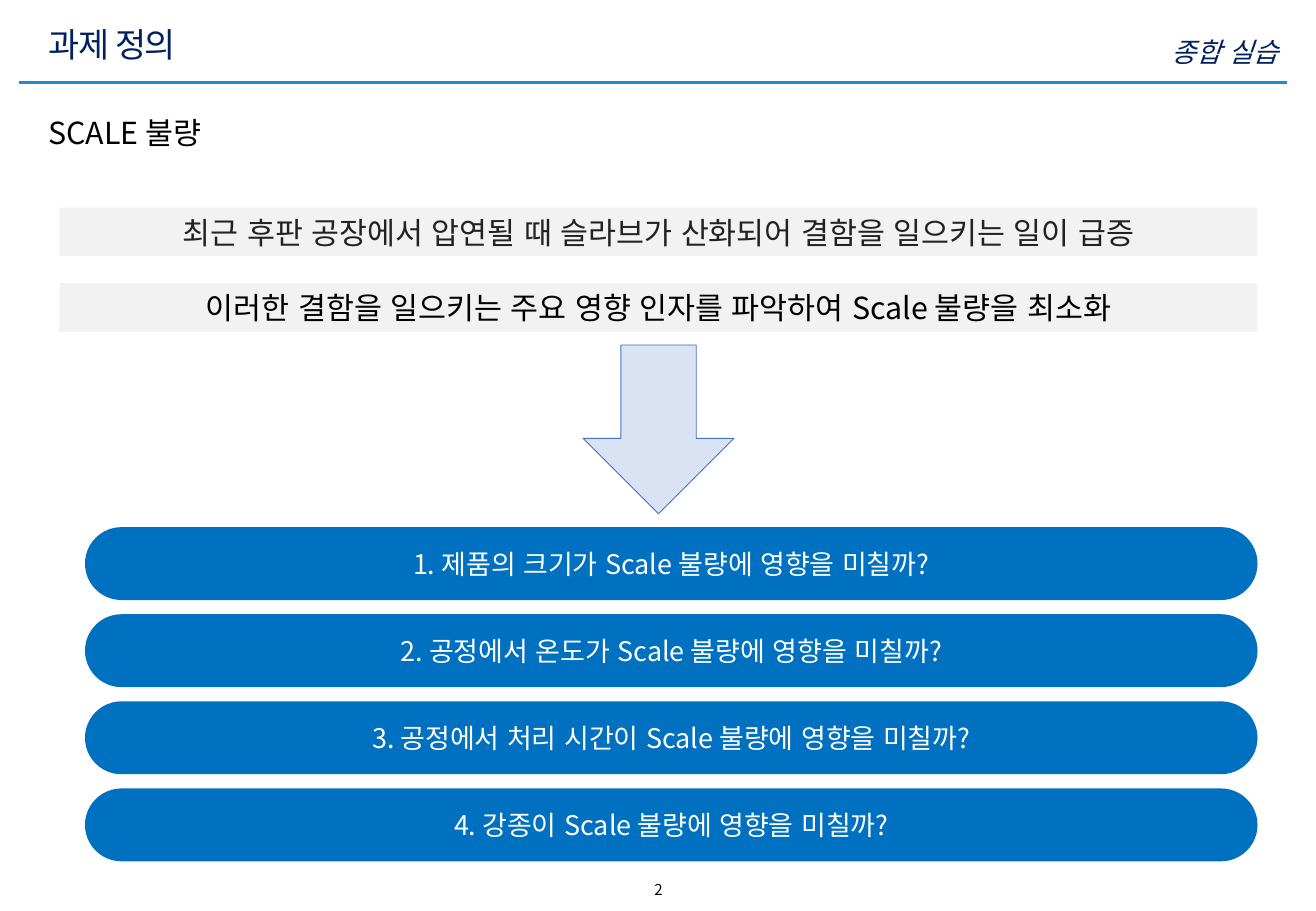
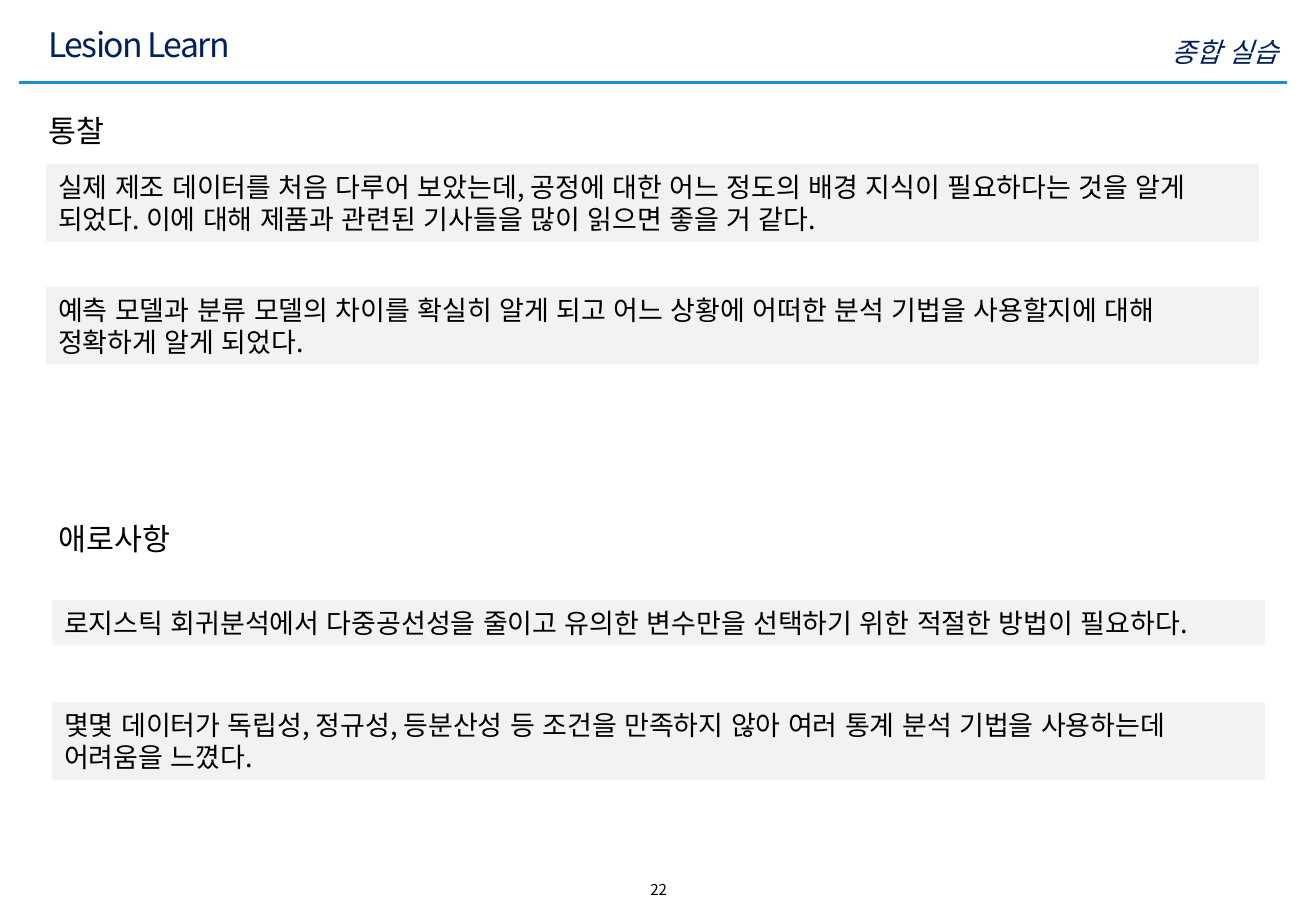
import pptx
import pptx.dml.color
import pptx.enum.shapes
import pptx.enum.text
import pptx.oxml.ns
import pptx.util
import lxml.etree

SHAPE = pptx.enum.shapes.MSO_SHAPE
ANCHOR = pptx.enum.text.MSO_ANCHOR
ALIGN = pptx.enum.text.PP_ALIGN
WIDTH, HEIGHT = pptx.util.Inches(10.83), pptx.util.Inches(7.5)
FONT = "Noto Sans CJK KR"
COLORS = {
    "navy": "002060", "rule": "188DD0", "black": "000000", "ink": "222222",
    "band": "F2F2F2", "pill": "0070C0", "white": "FFFFFF",
    "arrow": "DAE3F3", "arrow_edge": "4472C4",
}
STYLES = {
    "title": dict(size=20, color="navy", anchor=ANCHOR.MIDDLE, spacing=-100),
    "label": dict(size=16, color="navy", align=ALIGN.RIGHT, italic=True),
    "page": dict(size=8.9, align=ALIGN.CENTER),
    "heading": dict(size=18),
    "banner": dict(size=18, align=ALIGN.CENTER, anchor=ANCHOR.MIDDLE),
    "pill": dict(size=16, color="white", align=ALIGN.CENTER, anchor=ANCHOR.MIDDLE, wrap=False),
    "note": dict(size=16, anchor=ANCHOR.MIDDLE),
}


def rgb(name):
    return pptx.dml.color.RGBColor.from_string(COLORS[name])


def across(share):
    return pptx.util.Emu(round(WIDTH * share / 100))


def down(share):
    return pptx.util.Emu(round(HEIGHT * share / 100))


def area(left, top, width, height):
    return across(left), down(top), across(width), down(height)


def set_all(target, values):
    for name, value in values.items():
        setattr(target, name, value)


def write(sp, text, style, **changes):
    look = {**STYLES[style], **changes}
    tf = sp.text_frame
    set_all(tf, {
        "word_wrap": look.get("wrap", True),
        "auto_size": pptx.enum.text.MSO_AUTO_SIZE.NONE,
        "vertical_anchor": look.get("anchor", ANCHOR.TOP),
    })
    for i, line in enumerate(text.split("\n")):
        p = tf.add_paragraph() if i else tf.paragraphs[0]
        p.alignment = look.get("align", ALIGN.LEFT)
        r = p.add_run()
        r.text = line
        set_all(r.font, {
            "size": pptx.util.Pt(look["size"]),
            "name": FONT,
            "italic": look.get("italic", False),
        })
        r.font.color.rgb = rgb(look.get("color", "black"))
        props = r.font._element
        props.set("lang", "ko-KR")
        props.set("spc", str(look.get("spacing", 0)))
        east = lxml.etree.SubElement(props, pptx.oxml.ns.qn("a:ea"))
        east.set("typeface", FONT)


def add_text(s, box, text, style):
    write(s.shapes.add_textbox(*area(*box)), text, style)


def add_block(s, kind, box, fill, edge=None):
    sp = s.shapes.add_shape(kind, *area(*box))
    sp.shadow.inherit = False
    sp.fill.solid()
    sp.fill.fore_color.rgb = rgb(fill)
    if edge:
        sp.line.color.rgb = rgb(edge)
        sp.line.width = pptx.util.Pt(0.5)
    else:
        sp.line.fill.background()
    return sp


def add_rule(s):
    y = down(9.07)
    rule = s.shapes.add_connector(
        pptx.enum.shapes.MSO_CONNECTOR.STRAIGHT, across(1.48), y, across(97.78), y)
    rule.line.color.rgb = rgb("rule")
    rule.line.width = pptx.util.Pt(2)
    lxml.etree.SubElement(rule._element.spPr, pptx.oxml.ns.qn("a:effectLst"))


def add_page(prs, title, number):
    s = prs.slides.add_slide(prs.slide_layouts.get_by_name("Title Only"))
    add_rule(s)
    add_text(s, (40.54, 96, 19.02, 3.33), number, "page")
    add_text(s, (60.48, 3.2, 37.58, 4), "종합 실습", "label")
    sp = s.shapes.title
    set_all(sp, dict(zip(("left", "top", "width", "height"), area(2.77, 1.87, 78.58, 5.87))))
    write(sp, title, "title")
    return s


def add_heading(s, left, top, text):
    add_text(s, (left, top, 43.03, 5.33), text, "heading")


def add_banner(s, row, text, color):
    sp = add_block(s, SHAPE.RECTANGLE, (4.52, 22.8 + 8.27 * row, 91.04, 5.33), "band")
    write(sp, text, "banner", color=color)


def add_pill(s, row, text):
    sp = add_block(s, SHAPE.ROUNDED_RECTANGLE, (6.46, 57.87 + 9.56 * row, 89.1, 8), "pill")
    sp.adjustments[0] = 0.5
    write(sp, text, "pill")


def add_note(s, left, top, height, text):
    write(add_block(s, SHAPE.RECTANGLE, (left, top, 92.15, height), "band"), text, "note")


def build_definition(prs):
    s = add_page(prs, "과제 정의", "2")
    add_heading(s, 2.77, 11.87, "SCALE 불량")
    add_banner(s, 0, "최근 후판 공장에서 압연될 때 슬라브가 산화되어 결함을 일으키는 일이 급증", "ink")
    add_banner(s, 1, "이러한 결함을 일으키는 주요 영향 인자를 파악하여 Scale 불량을 최소화", "black")
    add_block(s, SHAPE.DOWN_ARROW, (44.32, 37.87, 11.45, 18.53), "arrow", "arrow_edge")
    causes = ("제품의 크기가", "공정에서 온도가", "공정에서 처리 시간이", "강종이")
    for row, cause in enumerate(causes):
        add_pill(s, row, f"{row + 1}. {cause} Scale 불량에 영향을 미칠까?")


def build_lessons(prs):
    s = add_page(prs, "Lesion Learn", "22")
    add_heading(s, 2.77, 11.6, "통찰")
    add_heading(s, 3.51, 56.4, "애로사항")
    notes = (
        (3.51, 18, 8.53, "실제 제조 데이터를 처음 다루어 보았는데, 공정에 대한 어느 정도의 배경 지식이 필요하다는 것을 알게 "
                         "되었다. 이에 대해 제품과 관련된 기사들을 많이 읽으면 좋을 거 같다."),
        (3.51, 31.47, 8.53, "예측 모델과 분류 모델의 차이를 확실히 알게 되고 어느 상황에 어떠한 분석 기법을 사용할지에 대해\n"
                            "정확하게 알게 되었다."),
        (3.97, 65.87, 4.93, "로지스틱 회귀분석에서 다중공선성을 줄이고 유의한 변수만을 선택하기 위한 적절한 방법이 필요하다."),
        (3.97, 77.07, 8.53, "몇몇 데이터가 독립성, 정규성, 등분산성 등 조건을 만족하지 않아 여러 통계 분석 기법을 사용하는데\n"
                            "어려움을 느꼈다."),
    )
    for note in notes:
        add_note(s, *note)


def main():
    prs = pptx.Presentation()
    set_all(prs, {"slide_width": WIDTH, "slide_height": HEIGHT})
    build_definition(prs)
    build_lessons(prs)
    prs.save("out.pptx")


if __name__ == "__main__":
    main()
